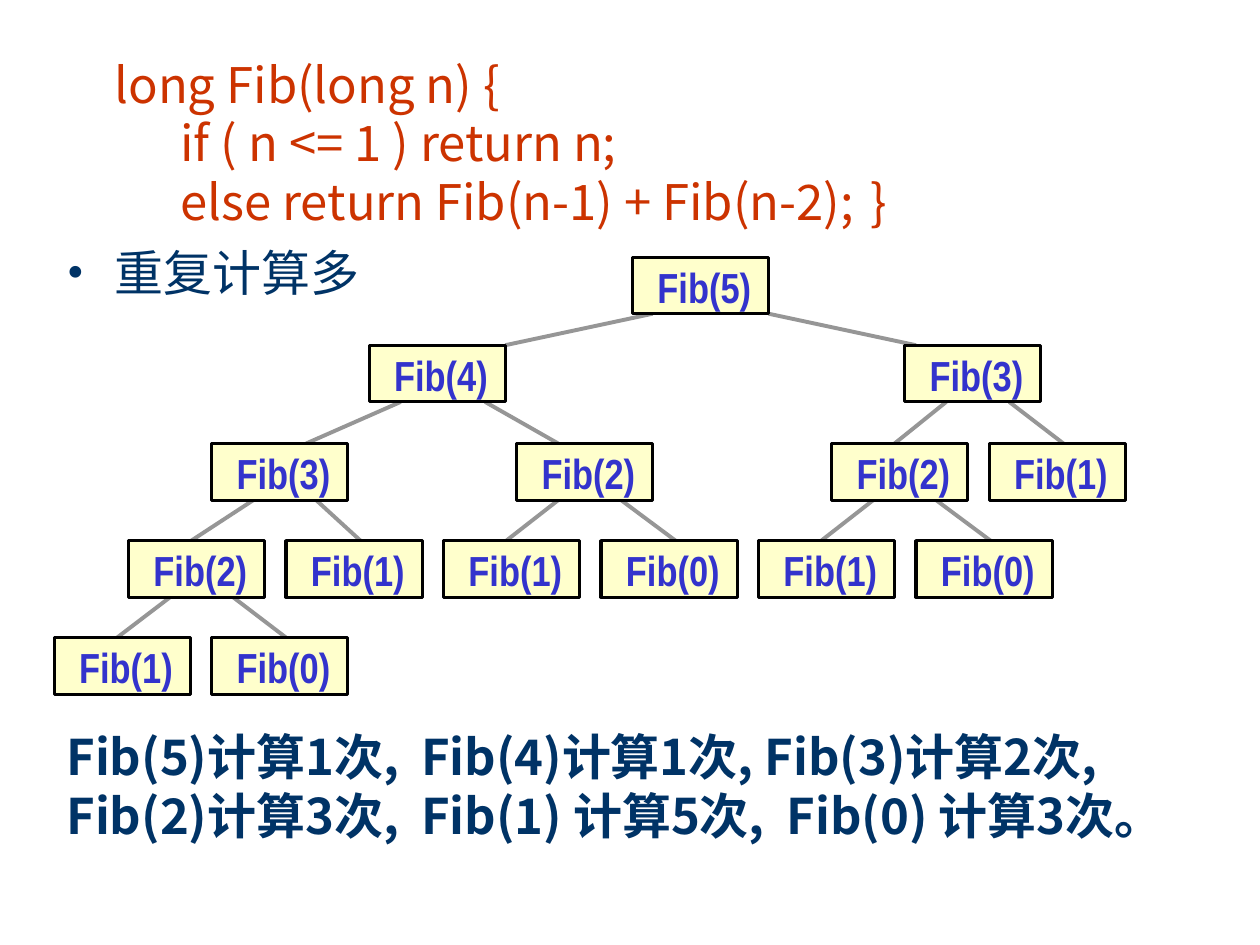
from pptx import Presentation
from pptx.dml.color import RGBColor
from pptx.enum.shapes import MSO_CONNECTOR, MSO_SHAPE
from pptx.enum.text import MSO_ANCHOR, PP_ALIGN
from pptx.oxml import parse_xml
from pptx.oxml.ns import nsdecls
from pptx.util import Inches, Pt

COLORS = {
    "code": "CC3300",
    "text": "003366",
    "label": "3333CC",
    "node": "FFFFCC",
    "border": "000000",
    "edge": "969696",
}
SANS = "Noto Sans CJK SC"
CODE_FORMAT = {"name": SANS, "size": Pt(28), "bold": False}
SUMMARY_FORMAT = {"name": SANS, "size": Pt(28), "bold": True}
LABEL_FORMAT = {"name": "Arial Narrow", "size": Pt(24), "bold": True}
LINE_SPACING = Pt(33.6)

CODE = "\v".join([
    "long Fib(long n) {",
    "      if ( n <= 1 ) return n;",
    "      else return Fib(n-1) + Fib(n-2); \t}",
])
SUMMARY = ("Fib(5)计算1次,  Fib(4)计算1次, Fib(3)计算2次,  "
           "Fib(2)计算3次,  Fib(1) 计算5次,  Fib(0) 计算3次。")

NODE_WIDTH, NODE_HEIGHT = 1.08, 0.45
LEVEL_TOPS = [0, 0.7, 1.48, 2.25, 3.02]
CALL_TREE = (4.59, [
    (2.5, [
        (1.25, [(0.59, [(0, []), (1.25, [])]), (1.84, [])]),
        (3.67, [(3.09, []), (4.34, [])]),
    ]),
    (6.75, [
        (6.17, [(5.59, []), (6.84, [])]),
        (7.42, []),
    ]),
])
EDGE_ENDS = {5: [(0.16, 1.08), (1.08, 0.09)], 4: [(0.25, 0.75), (0.92, 0.33)]}
DEFAULT_EDGE_ENDS = [(0.33, 0.5), (0.83, 0.59)]


def color(name):
    """Return the named colour."""
    return RGBColor.from_string(COLORS[name])


def write(paragraph, text, font_format, color_name):
    """Write text into a paragraph and format its runs."""
    paragraph.text = text
    for run in paragraph.runs:
        for attribute, value in font_format.items():
            setattr(run.font, attribute, value)
        run.font.color.rgb = color(color_name)
        properties = run.font._element
        properties.append(parse_xml(
            f'<a:ea {nsdecls("a")} typeface="{font_format["name"]}"/>'))


def set_indent(paragraph, elements, first_line):
    """Set the left margin of a paragraph with its bullet or tab elements."""
    properties = paragraph._p.get_or_add_pPr()
    properties.set("marL", str(Inches(0.38)))
    properties.set("indent", str(Inches(first_line)))
    for element in elements:
        tag, _, inner = element.partition(" ")
        properties.append(parse_xml(f"<a:{tag} {nsdecls('a')} {inner}"))


def place(shape, left, top, width, height):
    """Move and size a shape in inches."""
    box = {"left": left, "top": top, "width": width, "height": height}
    for attribute, value in box.items():
        setattr(shape, attribute, Inches(value))


def add_code(slide, left, top, width, height):
    """Fill the body placeholder with the function and a bullet."""
    body = slide.placeholders[1]
    place(body, left, top, width, height)
    frame = body.text_frame
    frame.margin_top = Inches(0.15)
    code, remark = frame.paragraphs[0], frame.add_paragraph()
    for paragraph, space in ((code, 0), (remark, 7)):
        paragraph.line_spacing = LINE_SPACING
        paragraph.space_before = Pt(space)
    set_indent(code, [
        "buNone />",
        f'tabLst ><a:tab pos="{Inches(6)}" algn="l"/></a:tabLst>',
    ], 0)
    set_indent(remark, [
        f'buClr ><a:srgbClr val="{COLORS["text"]}"/></a:buClr>',
        'buFont typeface="Times New Roman"/>',
        'buChar char="•"/>',
    ], -0.38)
    write(code, CODE, CODE_FORMAT, "code")
    write(remark, "重复计算多", CODE_FORMAT, "text")


def add_edge(shapes, start, end):
    """Join two points given in inches."""
    edge = shapes.add_connector(MSO_CONNECTOR.STRAIGHT, *map(Inches, start + end))
    edge.line.color.rgb = color("edge")
    edge.line.width = Pt(2.25)
    edge._element.spPr.append(parse_xml(f"<a:effectLst {nsdecls('a')}/>"))


def add_node(shapes, left, top, number):
    """Add one labelled call box."""
    node = shapes.add_shape(MSO_SHAPE.RECTANGLE, 0, 0, 0, 0)
    place(node, left, top, NODE_WIDTH, NODE_HEIGHT)
    node.shadow.inherit = False
    node.fill.solid()
    node.fill.fore_color.rgb = color("node")
    node.line.color.rgb = color("border")
    node.line.width = Pt(1.75)
    frame = node.text_frame
    margins = {"margin_left": 0.06, "margin_right": 0, "margin_top": 0.02, "margin_bottom": 0}
    for attribute, value in margins.items():
        setattr(frame, attribute, Inches(value))
    frame.word_wrap = False
    frame.vertical_anchor = MSO_ANCHOR.MIDDLE
    paragraph = frame.paragraphs[0]
    paragraph.alignment = PP_ALIGN.CENTER
    write(paragraph, f"Fib({number})", LABEL_FORMAT, "label")


def add_call_tree(shapes, left, top, tree, number, level=0):
    """Add a call, its edges and the calls below it."""
    offset, children = tree
    node_left, node_top = left + offset, top + LEVEL_TOPS[level]
    ends = EDGE_ENDS.get(number, DEFAULT_EDGE_ENDS)
    for index, (child, (start, end)) in enumerate(zip(children, ends), 1):
        add_edge(shapes, (node_left + start, node_top + NODE_HEIGHT),
                 (left + child[0] + end, top + LEVEL_TOPS[level + 1]))
        add_call_tree(shapes, left, top, child, number - index, level + 1)
    add_node(shapes, node_left, node_top, number)


def add_summary(slide, left, top, width, height):
    """Add the count of calls for each number."""
    frame = slide.shapes.add_textbox(*map(Inches, (left, top, width, height))).text_frame
    frame.word_wrap = True
    paragraph = frame.paragraphs[0]
    paragraph.line_spacing = LINE_SPACING
    write(paragraph, SUMMARY, SUMMARY_FORMAT, "text")


def main():
    """Build the slide and save it."""
    presentation = Presentation()
    presentation.slide_width, presentation.slide_height = Inches(10), Inches(7.5)
    slide = presentation.slides.add_slide(presentation.slide_layouts[1])
    title = slide.shapes.title._element
    title.getparent().remove(title)
    add_code(slide, 0.43, 0.28, 8.49, 4.91)
    add_call_tree(slide.shapes.add_group_shape().shapes, 0.43, 2.04, CALL_TREE, 5)
    add_summary(slide, 0.43, 5.72, 9.17, 1.5)
    presentation.save("out.pptx")


if __name__ == "__main__":
    main()
